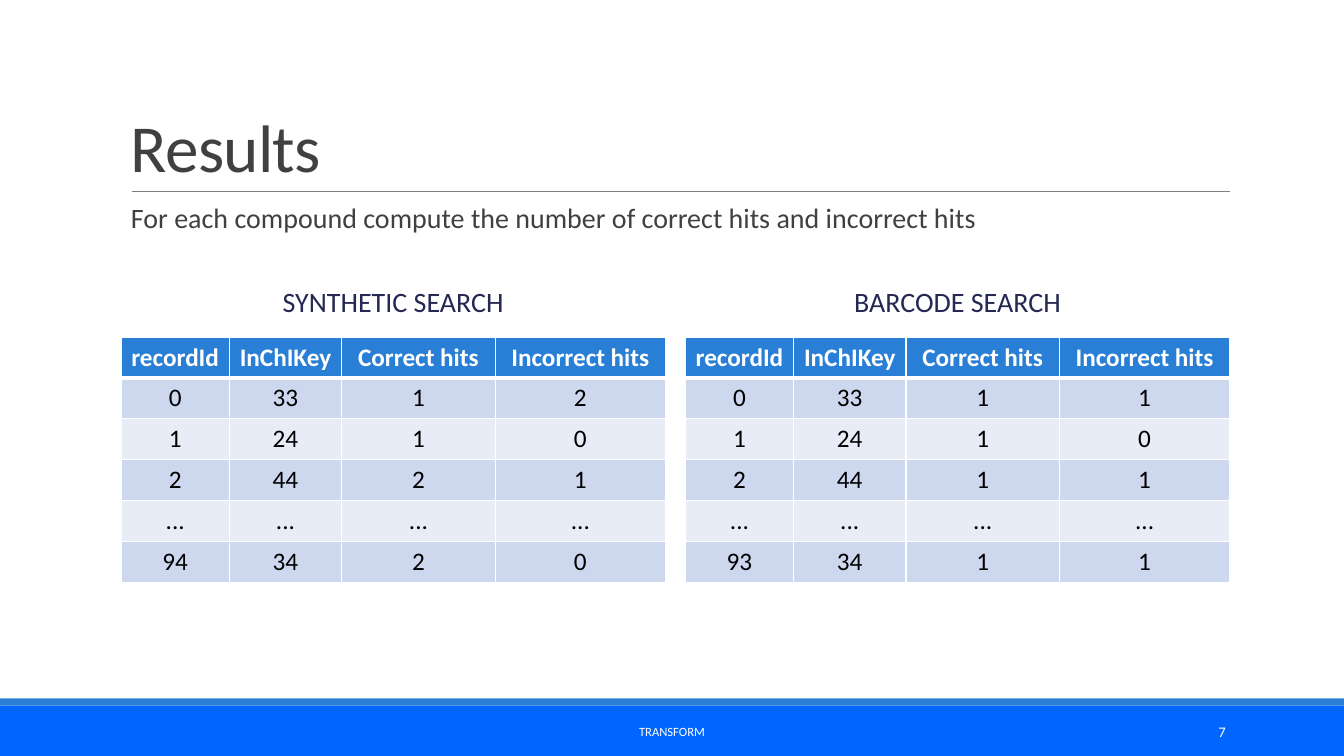
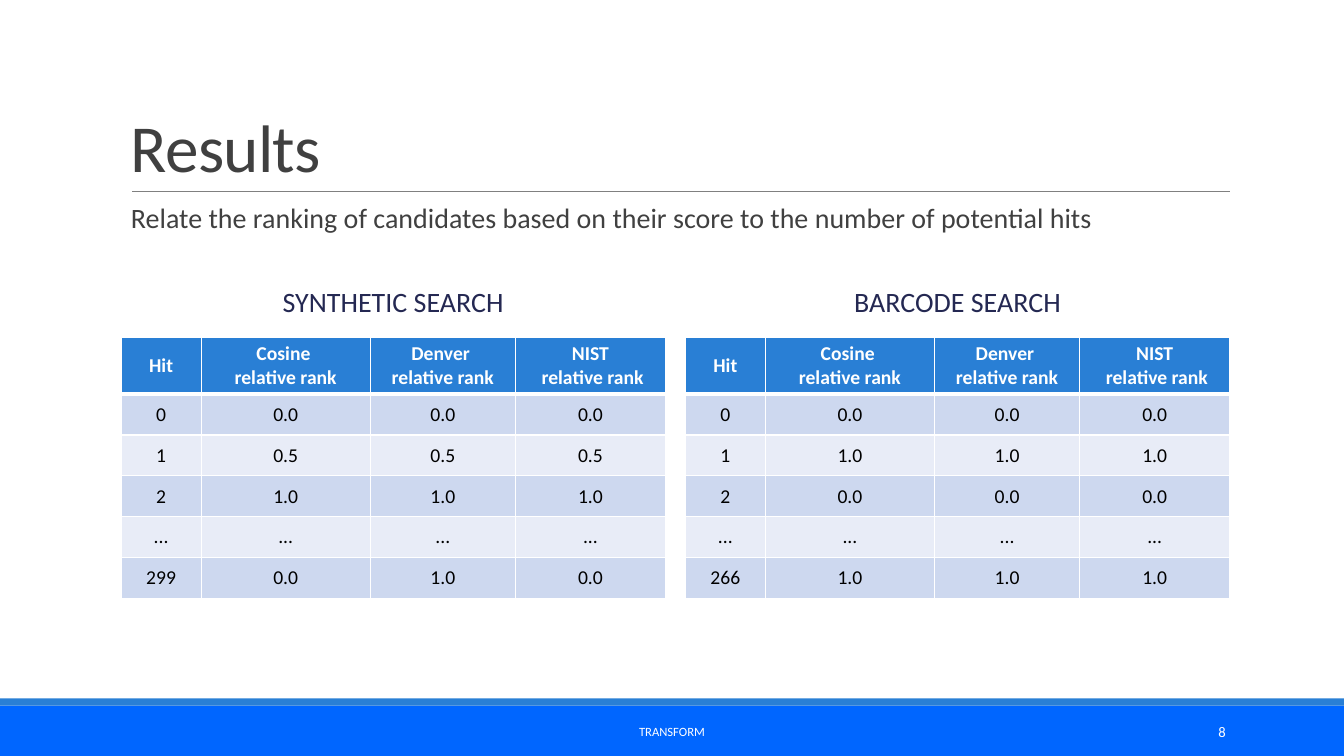
from lxml.etree import SubElement
from pptx import Presentation
from pptx.dml.color import RGBColor
from pptx.enum.shapes import MSO_CONNECTOR, MSO_SHAPE
from pptx.enum.text import MSO_ANCHOR, PP_ALIGN
from pptx.oxml.ns import qn
from pptx.util import Cm, Pt

FONT = "Calibri"
WHITE, BLACK, GREY = "FFFFFF", "000000", "404040"
RULE, NAVY, BLUE, BAND = "808080", "242852", "297FD5", "0066FF"
STRIPES = ("CDD8EF", "E8ECF7")
WIDE, HIGH = 33.87, 19.05
LEFT, FULL, HALF = 3.05, 27.94, 13.72
ROW = 1.03


def color(code):
    return RGBColor.from_string(code)


def add_run(para, text, size, code, bold=False):
    run = para.add_run()
    run.text = text
    font = run.font
    font.name, font.size, font.bold = FONT, Pt(size), bold
    font.color.rgb = color(code)
    return run


def add_text(slide, box, text, size, code, align=PP_ALIGN.LEFT,
             anchor=MSO_ANCHOR.MIDDLE, lines=1.0, gaps=(0, 0)):
    frame = slide.shapes.add_textbox(*map(Cm, box)).text_frame
    frame.word_wrap = True
    frame.vertical_anchor = anchor
    para = frame.paragraphs[0]
    para.alignment = align
    para.line_spacing = lines
    para.space_before, para.space_after = map(Pt, gaps)
    return add_run(para, text, size, code)


def add_bar(slide, box, code):
    bar = slide.shapes.add_shape(MSO_SHAPE.RECTANGLE, *map(Cm, box))
    bar.shadow.inherit = False
    bar.fill.solid()
    bar.fill.fore_color.rgb = color(code)
    bar.line.fill.background()


def add_head(slide, box, title, lead):
    left, top, width, height = box
    run = add_text(slide, box, title, 48, GREY, anchor=MSO_ANCHOR.BOTTOM, lines=0.85)
    run._r.get_or_add_rPr().set("spc", "-50")
    base = top + height
    line = slide.shapes.add_connector(
        MSO_CONNECTOR.STRAIGHT, Cm(left + 0.28), Cm(base), Cm(left + width), Cm(base))
    line.line.color.rgb = color(RULE)
    line.line.width = Pt(0.5)
    SubElement(line._element.spPr, qn("a:effectLst"))
    add_text(slide, (left, base + 0.2, width, 1.78), lead, 20, GREY,
             anchor=MSO_ANCHOR.TOP, lines=0.9, gaps=(12, 2))


def add_foot(slide, box, label, number):
    left, top, width, height = box
    add_bar(slide, box, BAND)
    add_bar(slide, (left, top - 0.18, width, 0.18), BLUE)
    add_text(slide, (left + 10.24, top + 0.15, 13.39, 1.02), label, 9, WHITE, PP_ALIGN.CENTER)
    add_text(slide, (left + 27.51, top + 0.15, 3.63, 1.02), number, 10.5, WHITE, PP_ALIGN.RIGHT)


def add_edge(cell, side, width):
    edge = SubElement(cell._tc.get_or_add_tcPr(), qn("a:ln" + side), w=str(Pt(width)))
    fill = SubElement(edge, qn("a:solidFill"))
    SubElement(fill, qn("a:srgbClr"), val=WHITE)


def fill_cell(cell, text, row, size):
    head = row == 0
    widths = {"L": 1, "R": 1, "T": 3 if row == 1 else 1, "B": 3 if head else 1}
    for side, width in widths.items():
        add_edge(cell, side, width)
    cell.fill.solid()
    cell.fill.fore_color.rgb = color(BLUE if head else STRIPES[(row - 1) % 2])
    cell.vertical_anchor = MSO_ANCHOR.MIDDLE
    frame = cell.text_frame
    for i, part in enumerate(text.split("\n")):
        para = frame.add_paragraph() if i else frame.paragraphs[0]
        para.alignment = PP_ALIGN.CENTER
        add_run(para, part, size, WHITE if head else BLACK, head)


def add_panel(slide, left, top, title, rows, cols, size, first):
    add_text(slide, (left, top, HALF, 1.3), title, 20, NAVY, PP_ALIGN.CENTER,
             lines=0.9, gaps=(12, 2))
    highs = [first] + [ROW] * (len(rows) - 1)
    table = slide.shapes.add_table(
        len(rows), len(cols), Cm(left), Cm(top + 1.5), Cm(HALF), Cm(sum(highs))).table
    table.first_row = table.horz_banding = False
    for col, width in zip(table.columns, cols):
        col.width = Cm(width)
    for r, (high, row) in enumerate(zip(highs, rows)):
        table.rows[r].height = Cm(high)
        for c, text in enumerate(row):
            fill_cell(table.cell(r, c), text, r, size)


def add_page(deck, number, lead, head, sides, cols, size, first):
    slide = deck.slides.add_slide(deck.slide_layouts[6])
    add_foot(slide, (0, 17.78, WIDE, 1.27), "TRANSFORM", str(number))
    add_head(slide, (LEFT, 0.79, FULL, 4.04), "Results", lead)
    lefts = (LEFT, LEFT + FULL - HALF)
    titles = ("SYNTHETIC SEARCH", "BARCODE SEARCH")
    for left, title, body in zip(lefts, titles, sides):
        rows = [head] + [line.split() for line in body]
        add_panel(slide, left, 6.99, title, rows, cols, size, first)


PAGES = (
    dict(
        number=7,
        lead="For each compound compute the number of correct hits and incorrect hits",
        head=["recordId", "InChIKey", "Correct hits", "Incorrect hits"],
        sides=(
            ("0 33 1 2", "1 24 1 0", "2 44 2 1", "... ... ... ...", "94 34 2 0"),
            ("0 33 1 1", "1 24 1 0", "2 44 1 1", "... ... ... ...", "93 34 1 1"),
        ),
        cols=(2.73, 2.83, 3.87, 4.29), size=18, first=ROW,
    ),
    dict(
        number=8,
        lead="Relate the ranking of candidates based on their score "
             "to the number of potential hits",
        head=["Hit", "Cosine \nrelative rank", "Denver \nrelative rank",
              "NIST\n relative rank"],
        sides=(
            ("0 0.0 0.0 0.0", "1 0.5 0.5 0.5", "2 1.0 1.0 1.0",
             "... ... ... ...", "299 0.0 1.0 0.0"),
            ("0 0.0 0.0 0.0", "1 1.0 1.0 1.0", "2 0.0 0.0 0.0",
             "... ... ... ...", "266 1.0 1.0 1.0"),
        ),
        cols=(2.02, 4.26, 3.66, 3.78), size=14, first=1.44,
    ),
)


def main():
    deck = Presentation()
    deck.slide_width, deck.slide_height = Cm(WIDE), Cm(HIGH)
    for page in PAGES:
        add_page(deck, **page)
    deck.save("out.pptx")


if __name__ == "__main__":
    main()
